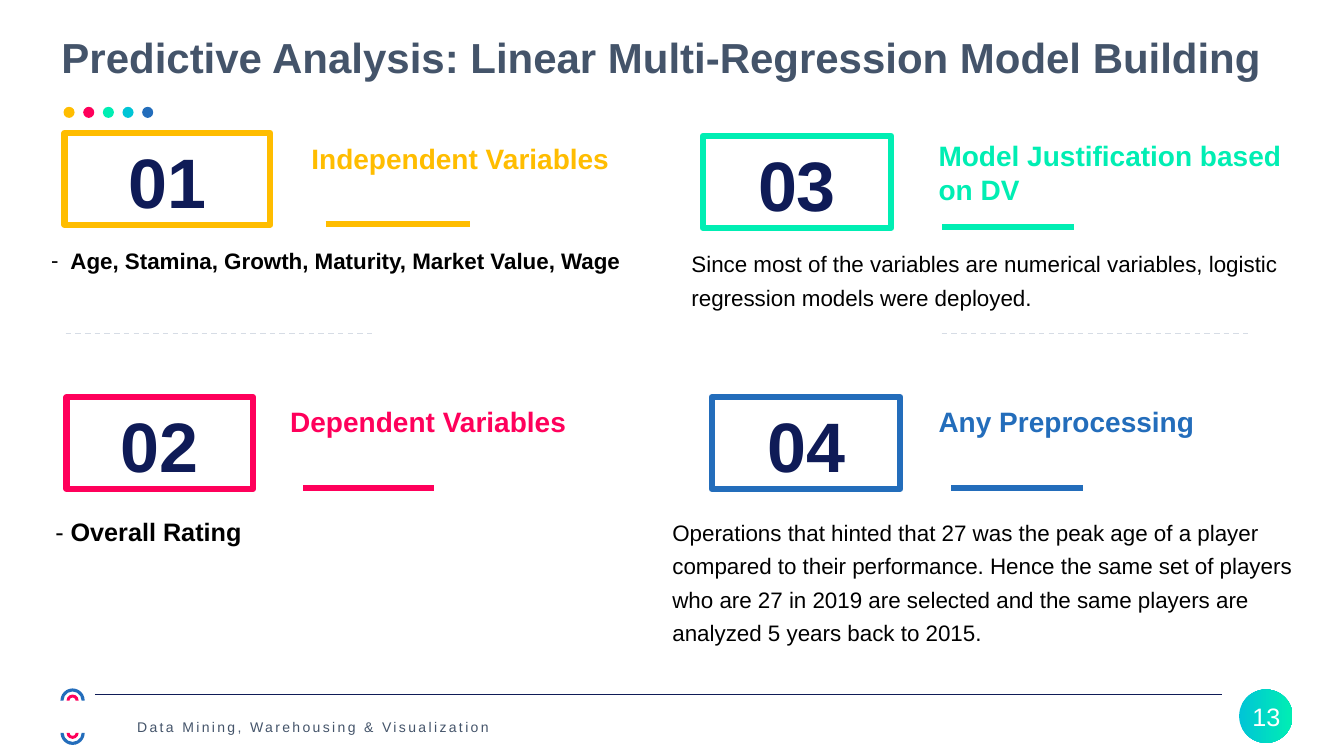
from pptx import Presentation
from pptx.dml.color import RGBColor
from pptx.enum.dml import MSO_LINE
from pptx.enum.shapes import MSO_CONNECTOR, MSO_SHAPE
from pptx.enum.text import MSO_ANCHOR, MSO_AUTO_SIZE, PP_ALIGN
from pptx.oxml.ns import qn
from pptx.util import Inches, Pt
from lxml.etree import SubElement

GOLD = RGBColor(0xFF, 0xBD, 0x00)
PINK = RGBColor(0xFF, 0x00, 0x5B)
MINT = RGBColor(0x00, 0xEE, 0xB3)
CYAN = RGBColor(0x00, 0xC5, 0xD6)
BLUE = RGBColor(0x23, 0x6D, 0xBB)
NAVY = RGBColor(0x0F, 0x1B, 0x57)
SLATE = RGBColor(0x44, 0x54, 0x6A)
PALE = RGBColor(0xD6, 0xDC, 0xE5)
BLACK = RGBColor(0, 0, 0)
WHITE = RGBColor(0xFF, 0xFF, 0xFF)


def cell(n):
    """Turn a count of tenth-inch grid cells into a length."""
    return Inches(n / 10)


def add_run(para, text, size, color, bold=False):
    """Add one styled run to a paragraph."""
    run = para.add_run()
    run.text = text
    font = run.font
    font.name, font.size, font.bold = "Arial", Pt(size), bold
    font.color.rgb = color
    return run


def add_text(slide, box, gap=None):
    """Add a wrapping text box and return its first paragraph."""
    frame = slide.shapes.add_textbox(*map(cell, box)).text_frame
    frame.word_wrap = True
    para = frame.paragraphs[0]
    if gap:
        para.line_spacing = gap
    return para


def add_shape(slide, kind, box, fill=None):
    """Add a flat shape with no outline and an optional solid fill."""
    shape = slide.shapes.add_shape(kind, *map(cell, box))
    shape.shadow.inherit = False
    shape.line.fill.background()
    if fill is None:
        shape.fill.background()
    else:
        shape.fill.solid()
        shape.fill.fore_color.rgb = fill
    return shape


def add_rule(slide, left, top, width, color, weight):
    """Add a level line."""
    rule = slide.shapes.add_connector(
        MSO_CONNECTOR.STRAIGHT, *map(cell, (left, top, left + width, top)))
    rule.line.color.rgb = color
    rule.line.width = Pt(weight)
    SubElement(rule._element.spPr, qn("a:effectLst"))
    return rule


def add_head(slide, left, top, width):
    """Place the title and the row of dots below it."""
    title = slide.shapes.title
    title.left, title.top, title.width, title.height = map(
        cell, (left, top, width, 6))
    frame = title.text_frame
    frame.auto_size = MSO_AUTO_SIZE.NONE
    frame.word_wrap = True
    frame.vertical_anchor = MSO_ANCHOR.MIDDLE
    para = frame.paragraphs[0]
    para.alignment = PP_ALIGN.LEFT
    add_run(para, "Predictive Analysis: Linear Multi-Regression Model Building",
            30, SLATE, True)
    for i, color in enumerate((GOLD, PINK, MINT, CYAN, BLUE)):
        dot = (left + 1.2 + 1.95 * i, top + 8, 1.1, 1.1)
        add_shape(slide, MSO_SHAPE.OVAL, dot, color)


def add_panel(slide, box, color, label, head, head_box, body_box):
    """Place a framed number, heading and bar; return the body paragraph."""
    left, top, width, height = box
    frame = add_shape(slide, MSO_SHAPE.RECTANGLE, box)
    frame.line.color.rgb = color
    frame.line.width = Pt(4.5)
    frame.text_frame.vertical_anchor = MSO_ANCHOR.TOP
    para = frame.text_frame.paragraphs[0]
    para.alignment = PP_ALIGN.CENTER
    add_run(para, label, 50, NAVY, True)
    x, y, w, h = head_box
    add_run(add_text(slide, (left + x, top + y, w, h)), head, 20, color, True)
    add_rule(slide, left + 1.27 * width, top + 9, 0.7 * width, color, 4.5)
    x, y, w, h = body_box
    return add_text(slide, (left + x, top + y, w, h), 1.25)


def add_dash(para, indent):
    """Give a paragraph a hanging dash."""
    props = para._p.get_or_add_pPr()
    props.set("marL", str(cell(indent)))
    props.set("indent", str(-cell(indent)))
    SubElement(props, qn("a:buFont")).set("typeface", "Arial")
    SubElement(props, qn("a:buChar")).set("char", "-")


def add_arcs(slide, left, top, height):
    """Place facing pairs of half rings, blue outside and pink inside."""
    for color, inset, size in ((BLUE, 0, 2.4), (PINK, 0.6, 1.2)):
        low = top + height - inset - size
        for y, turn in ((top + inset, 0), (low, 180)):
            arc = add_shape(slide, MSO_SHAPE.BLOCK_ARC,
                            (left + inset, y, size, size), color)
            arc.adjustments[2] = 0.3 / size
            arc.rotation = turn


def add_foot(slide, left, top, width):
    """Place the footer rings, rule, caption and page number."""
    add_arcs(slide, left, top, 5.6)
    add_rule(slide, left + 3.4, top + 0.6, width - 10.4, NAVY, 0.5)
    para = add_text(slide, (left + 7.2, top + 1.8, 40.4, 3.1), 1.5)
    frame = slide.shapes[-1].text_frame
    frame.vertical_anchor = MSO_ANCHOR.MIDDLE
    frame.margin_left = frame.margin_right = cell(0.4)
    frame.margin_top = frame.margin_bottom = cell(0.4)
    run = add_run(para, "Data Mining, Warehousing & Visualization", 10, SLATE)
    run.font._element.set("spc", "170")
    disc = add_shape(slide, MSO_SHAPE.OVAL,
                     (left + width - 5.3, top + 0.1, 5.3, 5.3))
    disc.fill.gradient()
    disc.fill.gradient_angle = 0
    for stop, color in zip(disc.fill.gradient_stops, (CYAN, MINT)):
        stop.color.rgb = color
    para = add_text(slide, (left + width - 5.7, top + 0.8, 6.2, 4))
    para.alignment = PP_ALIGN.CENTER
    add_run(para, "13", 18, WHITE)


def main():
    """Build the slide and save it."""
    deck = Presentation()
    deck.slide_width, deck.slide_height = Inches(13.33), Inches(7.5)
    slide = deck.slides.add_slide(deck.slide_layouts[5])
    add_head(slide, 5.1, 2.6, 123.2)

    para = add_panel(slide, (6.4, 13.2, 20.4, 9.1), GOLD, "01",
                     "Independent Variables",
                     (23.5, 0.3, 41.4, 7.7), (-2.3, 10.2, 66.2, 6.7))
    add_dash(para, 1.9)
    add_run(para, "Age, Stamina, Growth, Maturity, Market Value, Wage",
            16, BLACK, True)

    para = add_panel(slide, (6.6, 39.4, 18.5, 9.1), PINK, "02",
                     "Dependent Variables",
                     (21.2, 0.2, 37.4, 7.7), (-2.1, 10.6, 60.7, 4.4))
    add_run(para, "- ", 18, BLACK)
    add_run(para, "Overall Rating", 18, BLACK, True)

    para = add_panel(slide, (69.7, 13.5, 18.7, 9.1), MINT, "03",
                     "Model Justification based on DV",
                     (22.4, -0.2, 38.5, 7.7), (-2.1, 10.2, 65.3, 7.4))
    add_run(para, "Since most of the variables are numerical variables, "
            "logistic regression models were deployed.", 16, BLACK)

    para = add_panel(slide, (70.6, 39.4, 18.7, 9.1), BLUE, "04",
                     "Any Preprocessing",
                     (21.5, 0.2, 40.1, 7.7), (-4.9, 10.9, 67.2, 14.1))
    add_run(para, "Operations that hinted that 27 was the peak age of a player "
            "compared to their performance. Hence the same set of players "
            "who are 27 in 2019 are selected and the same players are "
            "analyzed 5 years back to 2015.", 16, BLACK)

    for left in (6.5, 93.4):
        rule = add_rule(slide, left, 33.1, 30.4, PALE, 1)
        rule.line.dash_style = MSO_LINE.DASH
    add_foot(slide, 6, 68.3, 122.2)
    deck.save("out.pptx")


if __name__ == "__main__":
    main()
